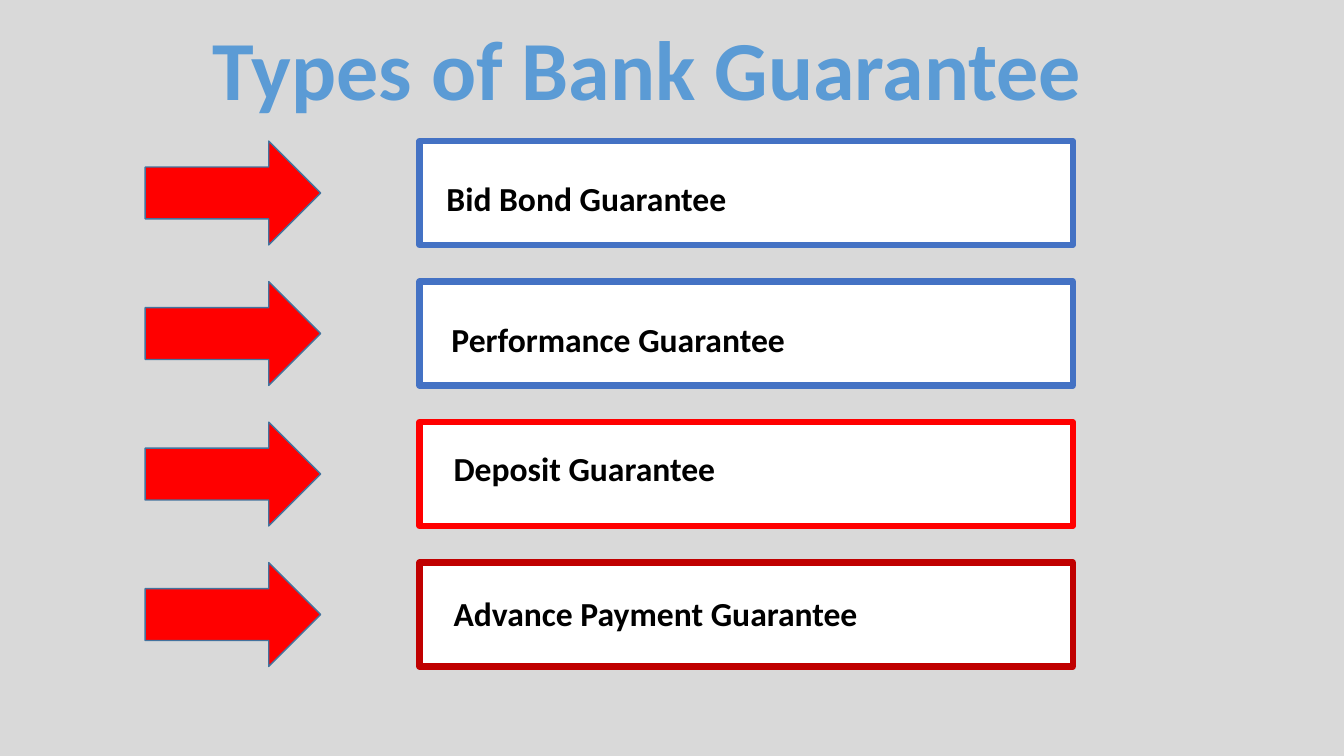
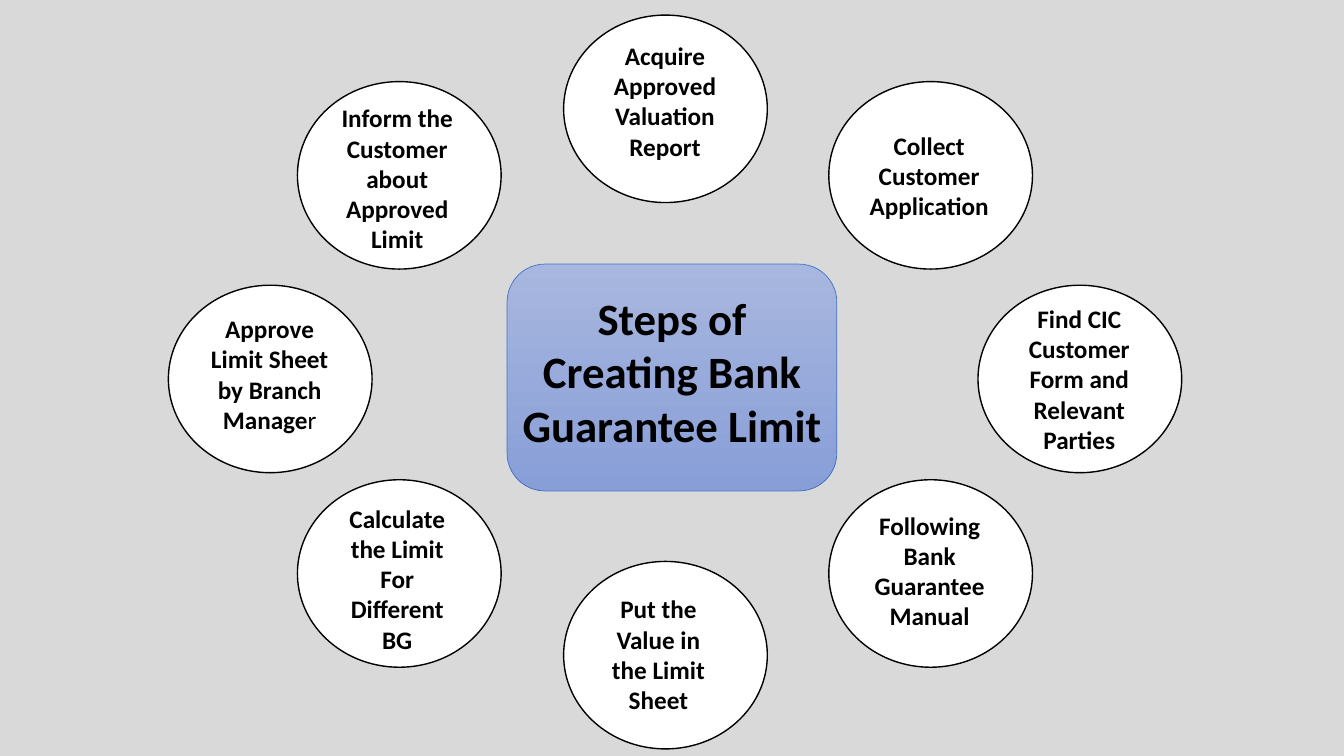
from pptx import Presentation
from pptx.dml.color import RGBColor
from pptx.enum.shapes import MSO_SHAPE
from pptx.enum.text import MSO_ANCHOR, PP_ALIGN
from pptx.util import Inches, Pt

ARROW, BOX = MSO_SHAPE.RIGHT_ARROW, MSO_SHAPE.RECTANGLE
CIRCLE, PANEL = MSO_SHAPE.OVAL, MSO_SHAPE.ROUNDED_RECTANGLE
LEFT, CENTER = PP_ALIGN.LEFT, PP_ALIGN.CENTER
TOP, MIDDLE = MSO_ANCHOR.TOP, MSO_ANCHOR.MIDDLE

GREY = RGBColor(0xD9, 0xD9, 0xD9)
WHITE = RGBColor(0xFF, 0xFF, 0xFF)
BLACK = RGBColor(0x00, 0x00, 0x00)
RED = RGBColor(0xFF, 0x00, 0x00)
DARK_RED = RGBColor(0xC0, 0x00, 0x00)
BLUE = RGBColor(0x44, 0x72, 0xC4)
TITLE_BLUE = RGBColor(0x5B, 0x9B, 0xD5)
ARROW_EDGE = RGBColor(0x43, 0x73, 0x9E)
PANEL_TOP = RGBColor(0xA8, 0xB7, 0xDF)
PANEL_BOTTOM = RGBColor(0x88, 0x9E, 0xD7)
FONT = "Calibri"

# Content: label, border colour, label left, label drop below the row top
TITLE = "Types of Bank Guarantee"
GUARANTEES = [
    ("Bid Bond Guarantee", BLUE, 4.33, 0.32),
    ("Performance Guarantee", BLUE, 4.38, 0.32),
    ("Deposit Guarantee", RED, 4.4, 0.21),
    ("Advance Payment Guarantee", DARK_RED, 4.4, 0.25),
]
# Content: text runs, grid column, grid row, label box (left, top, width, lines)
PANEL_TEXT = "Steps of Creating Bank Guarantee Limit"
STEPS = [
    (["Acquire Approved Valuation Report"], 2, 0, (5.84, 0.35, 1.51, 4)),
    (["Collect Customer Application"], 3, 1, (8.44, 1.24, 1.55, 3)),
    (["Find CIC Customer Form and Relevant Parties"], 4, 2, (9.94, 2.96, 1.53, 5)),
    (["Following Bank Guarantee Manual"], 3, 3, (8.52, 5.01, 1.4, 4)),
    (["Put the Value in the Limit Sheet"], 2, 4, (5.84, 5.84, 1.38, 4)),
    (["Calculate the Limit For Different BG"], 1, 3, (3.25, 4.94, 1.38, 5)),
    (["Approve Limit Sheet by Branch Manage", "r"], 0, 2, (1.96, 3.06, 1.43, 4)),
    (["Inform the Customer about Approved Limit"], 1, 1, (3.21, 0.97, 1.46, 5)),
]

# Layout in inches
ROW_TOP, ROW_STEP, ROW_HEIGHT = 1.4, 1.394, 1.03
ARROW_LEFT, ARROW_WIDTH = 1.44, 1.74
BOX_LEFT, BOX_WIDTH = 4.16, 6.48
CIRCLE_COLUMNS = [1.67, 2.95, 5.59, 8.22, 9.7]
CIRCLE_ROWS = [0.15, 0.81, 2.83, 4.76, 5.57]
CIRCLE_WIDTH, CIRCLE_HEIGHT = 2.02, 1.86
LINE_HEIGHT, TEXT_PADDING = 0.3, 0.11


def add_slide(presentation):
    """Add a blank slide with the shared grey background."""
    slide = presentation.slides.add_slide(presentation.slide_layouts[6])
    slide.background.fill.solid()
    slide.background.fill.fore_color.rgb = GREY
    return slide


def add_outlined(slide, kind, area, fill, line, weight):
    """Add a preset shape; a pair of fill colours makes a downward gradient."""
    shape = slide.shapes.add_shape(kind, *map(Inches, area))
    shape.shadow.inherit = False
    if isinstance(fill, list):
        shape.fill.gradient()
        shape.fill.gradient_angle = 270
        for stop, color in zip(shape.fill.gradient_stops, fill):
            stop.color.rgb = color
    else:
        shape.fill.solid()
        shape.fill.fore_color.rgb = fill
    shape.line.color.rgb = line
    shape.line.width = Pt(weight)
    return shape


def add_text(slide, runs, area, size, color=BLACK, align=CENTER, anchor=TOP, spacing=1.0):
    """Add a wrapped text box whose first run is bold and later runs plain."""
    frame = slide.shapes.add_textbox(*map(Inches, area)).text_frame
    frame.word_wrap = True
    frame.vertical_anchor = anchor
    paragraph = frame.paragraphs[0]
    paragraph.alignment = align
    paragraph.line_spacing = spacing
    for index, text in enumerate(runs):
        run = paragraph.add_run()
        run.text = text
        run.font.name = FONT
        run.font.size = Pt(size)
        run.font.bold = index == 0
        run.font.color.rgb = color


def build_types(presentation):
    """Build the list of guarantee types with an arrow before each."""
    slide = add_slide(presentation)
    add_text(slide, [TITLE], (0.67, 0, 11.5, 1.45), 60, color=TITLE_BLUE,
             anchor=MIDDLE, spacing=0.9)
    for row, (label, border, left, drop) in enumerate(GUARANTEES):
        top = ROW_TOP + row * ROW_STEP
        add_outlined(slide, ARROW, (ARROW_LEFT, top, ARROW_WIDTH, ROW_HEIGHT),
                     RED, ARROW_EDGE, 1)
        add_outlined(slide, BOX, (BOX_LEFT, top, BOX_WIDTH, ROW_HEIGHT),
                     WHITE, border, 4.5)
        add_text(slide, [label], (left, top + drop, 6, 0.5), 24, align=LEFT)


def build_steps(presentation):
    """Build the ring of steps around the central panel."""
    slide = add_slide(presentation)
    for runs, column, row, (left, top, width, lines) in STEPS:
        add_outlined(slide, CIRCLE, (CIRCLE_COLUMNS[column], CIRCLE_ROWS[row],
                                     CIRCLE_WIDTH, CIRCLE_HEIGHT), WHITE, BLACK, 1)
        height = lines * LINE_HEIGHT + TEXT_PADDING
        add_text(slide, runs, (left, top, width, height), 18)
    add_outlined(slide, PANEL, (5.03, 2.62, 3.27, 2.25),
                 [PANEL_TOP, PANEL_BOTTOM], BLUE, 0.5)
    add_text(slide, [PANEL_TEXT], (5.07, 2.83, 3.19, 1.72), 32)


presentation = Presentation()
presentation.slide_width = Inches(13.33)
presentation.slide_height = Inches(7.5)
build_types(presentation)
build_steps(presentation)
presentation.save("out.pptx")
